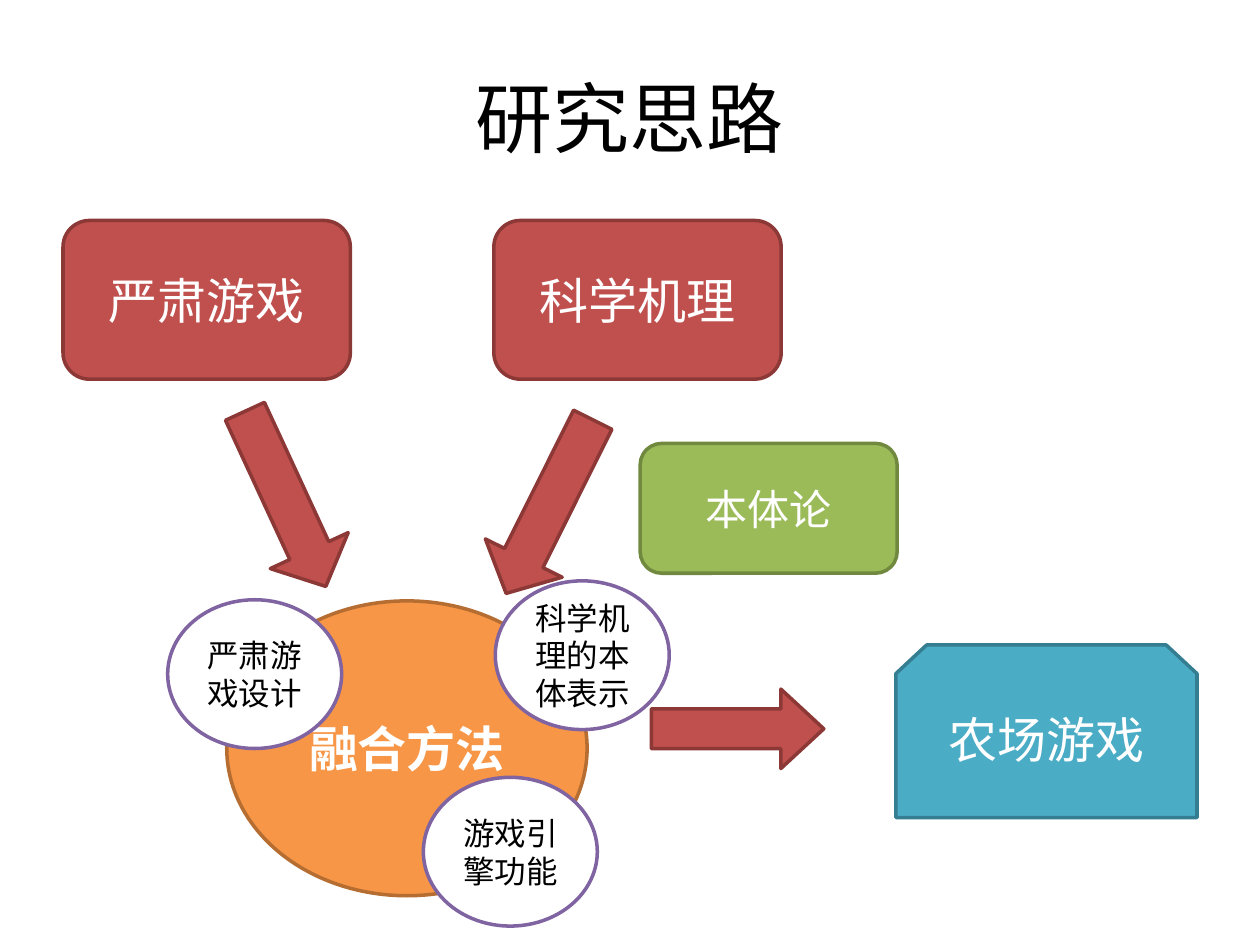
from pptx import Presentation
from pptx import util as u
from pptx.dml.color import RGBColor
from pptx.enum import shapes, text

COLORS = {
    "black": "000000", "white": "FFFFFF", "purple": "8064A2",
    "red": "C0504D", "dark_red": "8C3836",
    "green": "9BBB59", "dark_green": "71893F",
    "teal": "4BACC6", "dark_teal": "357D91",
    "orange": "F79646", "dark_orange": "B66D31",
}
KINDS = shapes.MSO_SHAPE


class SlideBuilder:
    font_name = "Calibri"
    line_width = 2

    def __init__(self, slide):
        self.slide = slide

    def color(self, name):
        return RGBColor.from_string(COLORS[name])

    def label(self, shape, words, size, color, bold=False):
        frame = shape.text_frame
        frame.word_wrap = True
        frame.vertical_anchor = text.MSO_ANCHOR.MIDDLE
        paragraph = frame.paragraphs[0]
        paragraph.text = words
        paragraph.alignment = text.PP_ALIGN.CENTER
        paragraph.font.name = self.font_name
        paragraph.font.size = u.Pt(size)
        paragraph.font.bold = bold
        paragraph.font.color.rgb = self.color(color)

    def paint(self, shape, fill, line):
        shape.shadow.inherit = False
        shape.fill.solid()
        shape.fill.fore_color.rgb = self.color(fill)
        shape.line.color.rgb = self.color(line)
        shape.line.width = u.Pt(self.line_width)

    def title(self, words, box):
        shape = self.slide.shapes.add_textbox(*map(u.Pt, box))
        self.label(shape, words, 44, "black")

    def preset(self, kind, box, fill, line):
        shape = self.slide.shapes.add_shape(kind, *map(u.Pt, box))
        self.paint(shape, fill, line)
        return shape

    def card(self, words, box, fill, size):
        shape = self.preset(KINDS.ROUNDED_RECTANGLE, box, fill, "dark_" + fill)
        self.label(shape, words, size, "white")

    def ellipse(self, words, box, fill, line, size, color, bold=False):
        shape = self.preset(KINDS.OVAL, box, fill, line)
        self.label(shape, words, size, color, bold)

    def arrow(self, box, rotation, head):
        shape = self.preset(KINDS.RIGHT_ARROW, box, "red", "dark_red")
        shape.adjustments[1] = head
        shape.rotation = rotation

    def snipped_box(self, words, box, snip_x, snip_y):
        left, top, width, height = box
        right, bottom = left + width, top + height
        points = [(right - snip_x, top), (right, top + snip_y),
                  (right, bottom), (left, bottom), (left, top + snip_y)]
        builder = self.slide.shapes.build_freeform(
            u.Pt(left + snip_x), u.Pt(top))
        builder.add_line_segments([(u.Pt(x), u.Pt(y)) for x, y in points])
        shape = builder.convert_to_shape()
        self.paint(shape, "teal", "dark_teal")
        self.label(shape, words, 28, "white")
        shape.text_frame.margin_top = u.Pt(12)


def main():
    presentation = Presentation()
    presentation.slide_width = u.Pt(720)
    presentation.slide_height = u.Pt(540)
    builder = SlideBuilder(
        presentation.slides.add_slide(presentation.slide_layouts[6]))

    builder.title("研究思路", (36, 21.6, 648, 90))
    for words, left in (("严肃游戏", 36), ("科学机理", 282.2)):
        builder.card(words, (left, 126, 164.2, 90.7), "red", 28)
    builder.card("本体论", (365.8, 253.4, 146.9, 74.2), "green", 24)
    builder.snipped_box("农场游戏", (511.9, 368.6, 172.1, 98.6), 17.6, 16.4)
    builder.ellipse("融合方法", (129.6, 343.4, 205.9, 168.5),
                    "orange", "dark_orange", 28, "white", True)

    for box, rotation, head in (
        ((108, 260.6, 110.2, 49), 65.2, 0.46),
        ((258.5, 265, 110.9, 49), 116.5, 0.46),
        ((372.2, 393.8, 98.6, 45.4), 0, 0.54),
    ):
        builder.arrow(box, rotation, head)

    for words, left, top in (
        ("严肃游戏设计", 95.8, 342.7),
        ("科学机理的本体表示", 283, 331.9),
        ("游戏引擎功能", 241.9, 444.2),
    ):
        builder.ellipse(words, (left, top, 99.4, 85),
                        "white", "purple", 18, "black")

    presentation.save("out.pptx")


if __name__ == "__main__":
    main()
